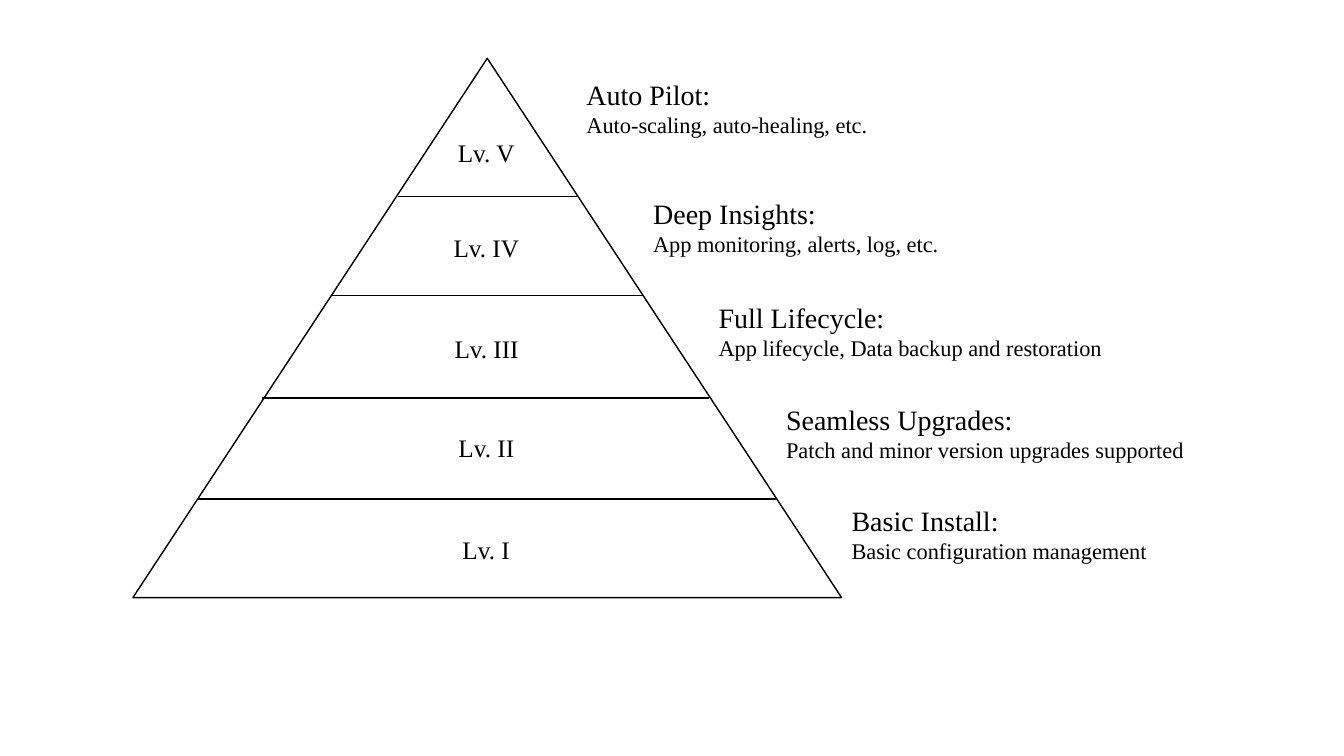
from dataclasses import dataclass
from typing import NamedTuple

from lxml.etree import SubElement
from pptx import Presentation
from pptx.dml.color import RGBColor
from pptx.enum.shapes import MSO_CONNECTOR as Connector, MSO_SHAPE as Shape
from pptx.enum.text import MSO_AUTO_SIZE as AutoSize
from pptx.oxml.ns import qn
from pptx.util import Cm, Pt


@dataclass(frozen=True)
class Theme:
    ink: RGBColor = RGBColor(0, 0, 0)
    font: str = "Times New Roman"
    label_size: int = 18
    title_size: int = 20
    detail_size: int = 16
    line_width: int = 1


class Level(NamedTuple):
    label: str
    label_top: float
    label_width: float
    title: str
    detail: str
    edge: float
    caption_top: float
    caption_width: float


class Divider(NamedTuple):
    left: float
    right: float
    height: float


LABEL_CENTER = 12.27
LABEL_HEIGHT = 1.02
CAPTION_HEIGHT = 1.8

LEVELS = [
    Level("Lv. I", 13.34, 1.73, "Basic Install:",
          "Basic configuration management", 21.21, 12.57, 8.08),
    Level("Lv. II", 10.77, 1.93, "Seamless Upgrades:",
          "Patch and minor version upgrades supported", 19.56, 10.03, 10.69),
    Level("Lv. III", 8.28, 2.13, "Full Lifecycle:",
          "App lifecycle, Data backup and restoration", 17.86, 7.44, 10.31),
    Level("Lv. IV", 5.74, 2.18, "Deep Insights:",
          "App monitoring, alerts, log, etc.", 16.21, 4.83, 7.82),
    Level("Lv. V", 3.33, 1.96, "Auto Pilot:",
          "Auto-scaling, auto-healing, etc.", 14.53, 1.83, 7.7),
]

DIVIDERS = [
    Divider(5, 19.56, 12.57),
    Divider(6.6, 17.86, 10.03),
    Divider(8.33, 16.21, 7.44),
    Divider(10.03, 14.53, 4.95),
]


class PyramidPage:
    def __init__(self, page, theme):
        self.page = page
        self.theme = theme

    def stroke(self, line):
        line.color.rgb = self.theme.ink
        line.width = Pt(self.theme.line_width)

    def triangle(self, left, top, width, height):
        outline = self.page.shapes.add_shape(
            Shape.ISOSCELES_TRIANGLE, Cm(left), Cm(top), Cm(width), Cm(height))
        outline.shadow.inherit = False
        outline.fill.background()
        self.stroke(outline.line)

    def divider(self, left, right, height):
        rule = self.page.shapes.add_connector(
            Connector.STRAIGHT, Cm(left), Cm(height), Cm(right), Cm(height))
        self.stroke(rule.line)
        SubElement(rule.element.spPr, qn("a:effectLst"))

    def text(self, left, top, width, height, lines):
        box = self.page.shapes.add_textbox(
            Cm(left), Cm(top), Cm(width), Cm(height))
        frame = box.text_frame
        frame.word_wrap = False
        frame.auto_size = AutoSize.SHAPE_TO_FIT_TEXT
        frame.text = "\n".join(words for words, size in lines)
        for para, (words, size) in zip(frame.paragraphs, lines):
            para.font.name = self.theme.font
            para.font.size = Pt(size)
            para.font.color.rgb = self.theme.ink

    def label(self, level):
        self.text(LABEL_CENTER - level.label_width / 2, level.label_top,
                  level.label_width, LABEL_HEIGHT,
                  [(level.label, self.theme.label_size)])

    def caption(self, level):
        self.text(level.edge, level.caption_top,
                  level.caption_width, CAPTION_HEIGHT,
                  [(level.title, self.theme.title_size),
                   (level.detail, self.theme.detail_size)])


def main():
    deck = Presentation()
    deck.slide_width, deck.slide_height = Cm(33.87), Cm(19.05)
    pyramid = PyramidPage(deck.slides.add_slide(deck.slide_layouts[6]), Theme())
    pyramid.triangle(3.35, 1.47, 17.86, 13.59)
    for divider in DIVIDERS:
        pyramid.divider(*divider)
    for level in LEVELS:
        pyramid.label(level)
    for level in LEVELS:
        pyramid.caption(level)
    deck.save("out.pptx")


if __name__ == "__main__":
    main()
